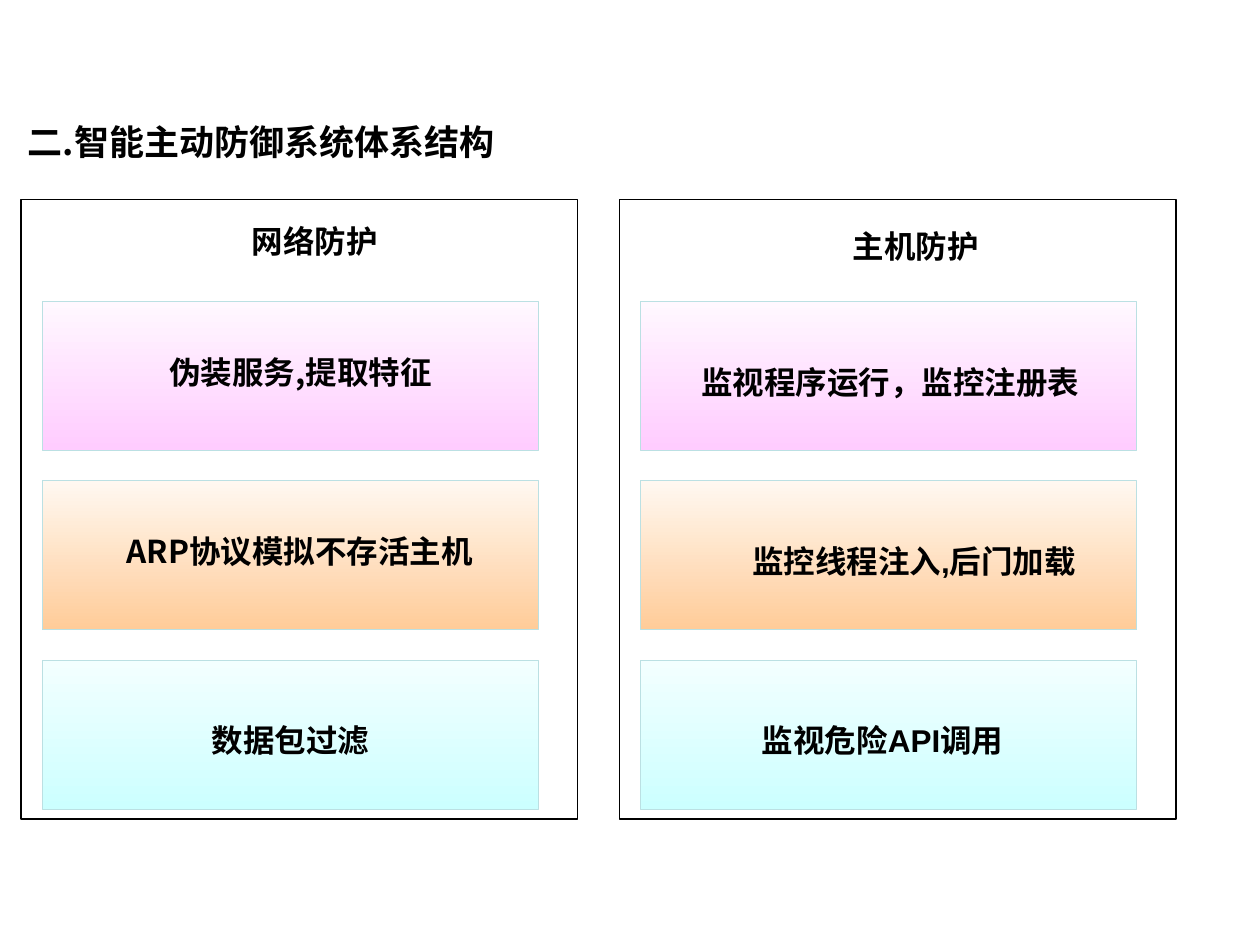
"""Build the slide on the structure of an active defence system."""
import pptx
import pptx.dml.color
import pptx.enum.shapes
import pptx.enum.text
import pptx.util

Pt = pptx.util.Pt
Align = pptx.enum.text.PP_ALIGN
Anchor = pptx.enum.text.MSO_ANCHOR
RECTANGLE = pptx.enum.shapes.MSO_SHAPE.RECTANGLE

TITLE = ("二.智能主动防御系统体系结构", (8.64, 64.8, 290.16, 31.68))
NOTO = "Noto Sans CJK SC"
COLUMNS = [
    {
        "heading": ("网络防护", (136.8, 123.12, 86.4, 28.8)),
        "font": NOTO,
        "labels": [
            ("伪装服务,提取特征", (85.68, 198, 172.08, 28.8)),
            ("ARP协议模拟不存活主机", (63.36, 300.24, 216, 28.8)),
            ("数据包过滤", (113.76, 408.24, 104.4, 28.8)),
        ],
    },
    {
        "heading": ("主机防护", (480.24, 126, 86.4, 28.8)),
        "font": "Arial",
        "labels": [
            ("监视程序运行，监控注册表", (376.56, 203.76, 264.24, 28.8)),
            ("监控线程注入,后门加载", (390.24, 306, 264.24, 28.8)),
            ("监视危险API调用", (372.24, 408.24, 264.24, 28.8)),
        ],
    },
]
GRADIENTS = [("FFF8FF", "FFCCFF"), ("FFF8F1", "FFCC99"), ("F3FFFF", "CCFFFF")]
PANEL = (12, 114, 318, 354)
CARD = (24, 172.2, 283.6, 85)
COLUMN_STEP, ROW_STEP = 342, 102.6
NARROW = 105


def color(value):
    return pptx.dml.color.RGBColor.from_string(value)


def apply(target, values):
    for name, value in values.items():
        setattr(target, name, value)


def place(frame, column=0, row=0):
    left, top, width, height = frame
    return [Pt(v) for v in (left + column * COLUMN_STEP, top + row * ROW_STEP, width, height)]


def add_rectangle(page, frame, line, weight):
    box = page.shapes.add_shape(RECTANGLE, *frame)
    box.shadow.inherit = False
    box.fill.background()
    box.line.color.rgb = color(line)
    box.line.width = Pt(weight)
    return box


def write(box, text, font, size, align, anchor, wrap):
    apply(box.text_frame, {
        "word_wrap": wrap, "auto_size": pptx.enum.text.MSO_AUTO_SIZE.NONE,
        "vertical_anchor": anchor,
        "margin_left": Pt(7.2), "margin_right": Pt(7.2),
        "margin_top": Pt(3.6), "margin_bottom": Pt(3.6),
    })
    para = box.text_frame.paragraphs[0]
    para.alignment = align
    span = para.add_run()
    span.text = text
    apply(span.font, {"name": font, "size": Pt(size), "bold": True})
    span.font.color.rgb = color("000000")


def add_label(page, label, font, align):
    text, frame = label
    box = page.shapes.add_textbox(*place(frame))
    write(box, text, font, 18, align, Anchor.TOP, frame[2] > NARROW)


def main():
    deck = pptx.Presentation()
    apply(deck, {"slide_width": Pt(720), "slide_height": Pt(540)})
    page = deck.slides.add_slide(deck.slide_layouts[5])

    text, frame = TITLE
    title = page.shapes.title
    apply(title, dict(zip(("left", "top", "width", "height"), place(frame))))
    write(title, text, NOTO, 20, Align.LEFT, Anchor.MIDDLE, True)

    for column, content in enumerate(COLUMNS):
        for row, stops in enumerate(GRADIENTS):
            card = add_rectangle(page, place(CARD, column, row), "BBE0E3", 0.5)
            card.fill.gradient()
            card.fill.gradient_angle = 270
            for position, (stop, value) in enumerate(zip(card.fill.gradient_stops, stops)):
                stop.color.rgb = color(value)
                stop.position = position
        add_rectangle(page, place(PANEL, column), "000000", 0.75)
        add_label(page, content["heading"], "Arial", Align.LEFT)
        for label in content["labels"]:
            add_label(page, label, content["font"], Align.CENTER)

    deck.save("out.pptx")


if __name__ == "__main__":
    main()
